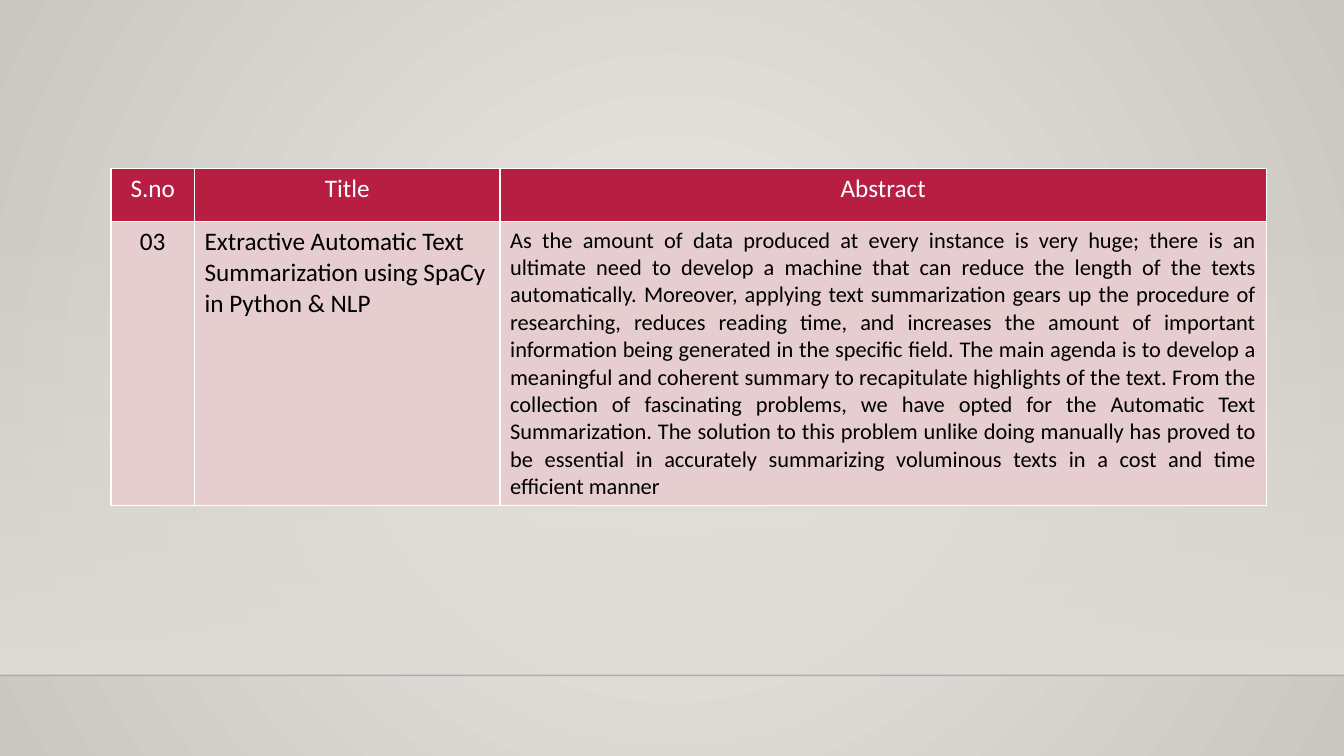
from dataclasses import dataclass

from lxml.etree import SubElement
from pptx import Presentation
from pptx.dml.color import RGBColor
from pptx.enum.shapes import MSO_CONNECTOR as Connector, MSO_SHAPE as Shape
from pptx.enum.text import PP_ALIGN as Align
from pptx.oxml import parse_xml
from pptx.oxml.ns import nsdecls, qn
from pptx.util import Inches, Pt

WHITE = RGBColor(0xFF, 0xFF, 0xFF)
BLACK = RGBColor(0x00, 0x00, 0x00)
CRIMSON = RGBColor(0xB7, 0x1E, 0x42)
PINK = RGBColor(0xE6, 0xCD, 0xCF)
SAND = RGBColor(0xDF, 0xDB, 0xD5)
LIGHT_GREY = RGBColor(0xEC, 0xEA, 0xE7)
DARK_GREY = RGBColor(0xCA, 0xC7, 0xC1)

WIDTH, HEIGHT = 13.33, 7.5
FLOOR_TOP, FLOOR_LINE = 2.21, 6.7
TABLE_LEFT, TABLE_TOP = 1.1, 1.67
ROW_HEIGHTS = (0.53, 2.81)

CIRCLE = ('<a:path path="circle"><a:fillToRect l="50000" t="50000" '
          'r="50000" b="50000"/></a:path>')
DOWNWARD = '<a:lin ang="5400000" scaled="0"/>'


@dataclass(frozen=True)
class Column:
    heading: str
    width: float
    body: str
    align: Align
    body_size: int = 18


COLUMNS = (
    Column("S.no", 0.83, "03", Align.CENTER),
    Column("Title", 3.03,
           "Extractive Automatic Text Summarization using SpaCy in Python & NLP",
           Align.LEFT),
    Column("Abstract", 7.6,
           "As the amount of data produced at every instance is very huge; there is "
           "an ultimate need to develop a machine that can reduce the length of the "
           "texts automatically. Moreover, applying text summarization gears up the "
           "procedure of researching, reduces reading time, and increases the amount "
           "of important information being generated in the specific field. The main "
           "agenda is to develop a meaningful and coherent summary to recapitulate "
           "highlights of the text. From the collection of fascinating problems, we "
           "have opted for the Automatic Text Summarization. The solution to this "
           "problem unlike doing manually has proved to be essential in accurately "
           "summarizing voluminous texts in a cost and time efficient manner",
           Align.JUSTIFY, 16),
)


def set_gradient(parent, start: RGBColor, end: RGBColor, direction: str,
                 start_alpha: int = 100) -> None:
    """Swap the solid fill of parent for a two-stop gradient."""
    gradient = parse_xml(
        f'<a:gradFill {nsdecls("a")} rotWithShape="1"><a:gsLst>'
        f'<a:gs pos="0"><a:srgbClr val="{start}">'
        f'<a:alpha val="{start_alpha * 1000}"/></a:srgbClr></a:gs>'
        f'<a:gs pos="100000"><a:srgbClr val="{end}"/></a:gs>'
        f'</a:gsLst>{direction}</a:gradFill>')
    parent.replace(parent.find(qn("a:solidFill")), gradient)


def add_backdrop(page) -> None:
    # Radial background
    page.background.fill.solid()
    set_gradient(page.element.find(".//" + qn("p:bgPr")),
                 LIGHT_GREY, DARK_GREY, CIRCLE)

    # Wall fading in towards the floor
    wall = page.shapes.add_shape(Shape.RECTANGLE, 0, Inches(FLOOR_TOP), Inches(WIDTH),
                                 Inches(FLOOR_LINE - FLOOR_TOP))
    wall.shadow.inherit = False
    wall.line.fill.background()
    wall.fill.solid()
    set_gradient(wall.element.spPr, SAND, SAND, DOWNWARD, start_alpha=0)

    # Floor line
    edge = page.shapes.add_connector(Connector.STRAIGHT, 0, Inches(FLOOR_LINE),
                                     Inches(WIDTH), Inches(FLOOR_LINE))
    edge.line.width = Pt(1)
    edge.line.color.rgb = BLACK
    properties = edge.element.spPr
    SubElement(properties.find(".//" + qn("a:srgbClr")), qn("a:alpha"), val="20000")
    SubElement(properties, qn("a:effectLst"))


def fill_cell(cell, text: str, size: int, align: Align, ink: RGBColor,
              fill: RGBColor) -> None:
    cell.text = text
    para = cell.text_frame.paragraphs[0]
    para.alignment = align
    span = para.runs[0]
    span.font.name = "Calibri"
    span.font.size = Pt(size)
    span.font.bold = False
    span.font.color.rgb = ink
    cell.fill.solid()
    cell.fill.fore_color.rgb = fill
    properties = cell._tc.get_or_add_tcPr()
    for index, side in enumerate("LRTB"):
        properties.insert(index, parse_xml(
            f'<a:ln{side} {nsdecls("a")} w="{Pt(1)}"><a:solidFill>'
            f'<a:srgbClr val="{WHITE}"/></a:solidFill></a:ln{side}>'))


def add_paper_table(page) -> None:
    width = sum(column.width for column in COLUMNS)
    table = page.shapes.add_table(
        len(ROW_HEIGHTS), len(COLUMNS), Inches(TABLE_LEFT), Inches(TABLE_TOP),
        Inches(width), Inches(sum(ROW_HEIGHTS))).table
    table.horz_banding = False
    for row, height in zip(table.rows, ROW_HEIGHTS):
        row.height = Inches(height)
    for index, column in enumerate(COLUMNS):
        table.columns[index].width = Inches(column.width)
        fill_cell(table.cell(0, index), column.heading, 18, Align.CENTER, WHITE, CRIMSON)
        fill_cell(table.cell(1, index), column.body, column.body_size, column.align,
                  BLACK, PINK)


def main() -> None:
    deck = Presentation()
    deck.slide_width, deck.slide_height = Inches(WIDTH), Inches(HEIGHT)
    page = deck.slides.add_slide(deck.slide_layouts[6])
    add_backdrop(page)
    add_paper_table(page)
    deck.save("out.pptx")


if __name__ == "__main__":
    main()
